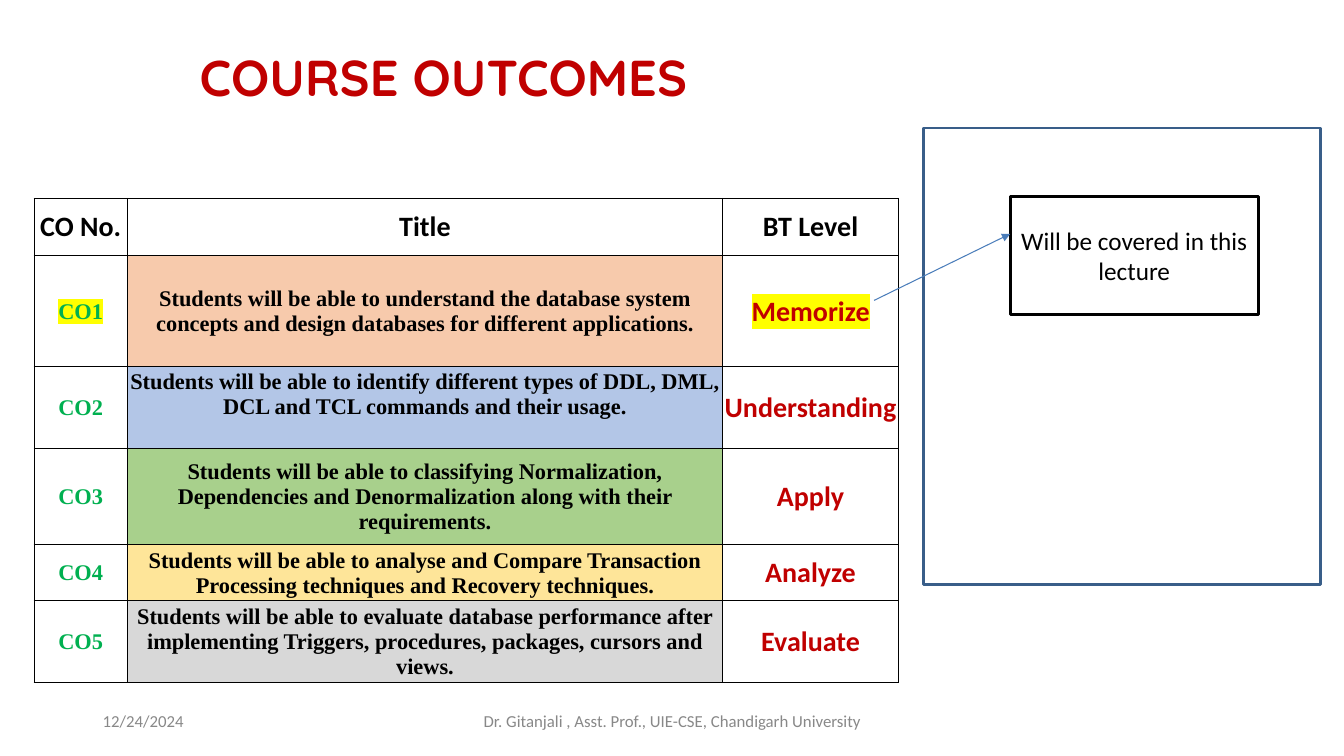
"""Build the course outcomes slide with its table and the lecture note."""
from dataclasses import dataclass

from lxml.etree import SubElement
from pptx import Presentation
from pptx.dml.color import RGBColor
from pptx.enum.shapes import MSO_CONNECTOR, MSO_SHAPE
from pptx.enum.text import MSO_ANCHOR, MSO_AUTO_SIZE, PP_ALIGN
from pptx.oxml import parse_xml
from pptx.oxml.ns import nsdecls, qn
from pptx.util import Inches, Pt

BLACK = RGBColor(0x00, 0x00, 0x00)
WHITE = RGBColor(0xFF, 0xFF, 0xFF)
RED = RGBColor(0xC0, 0x00, 0x00)
GREEN = RGBColor(0x00, 0xB0, 0x50)
YELLOW = RGBColor(0xFF, 0xFF, 0x00)
GREY = RGBColor(0x88, 0x88, 0x88)
FRAME_BLUE = RGBColor(0x39, 0x5E, 0x89)
ARROW_BLUE = RGBColor(0x4A, 0x7D, 0xBA)
PEACH = RGBColor(0xF7, 0xCA, 0xAC)
PALE_BLUE = RGBColor(0xB3, 0xC6, 0xE7)
PALE_GREEN = RGBColor(0xA8, 0xD0, 0x8C)
PALE_YELLOW = RGBColor(0xFE, 0xE5, 0x99)
PALE_GREY = RGBColor(0xD8, 0xD8, 0xD8)

SANS, SERIF, DISPLAY = "Calibri", "Times New Roman", "Quicksand"
HEADINGS = ("CO No.", "Title", "BT Level")
COLUMN_WIDTHS = (0.92, 5.91, 1.74)
HEADER_HEIGHT = 0.56


@dataclass(frozen=True)
class Outcome:
    number: str
    title: str
    level: str
    fill: RGBColor
    height: float
    covered: bool = False
    top_aligned: bool = False


@dataclass(frozen=True)
class FooterNote:
    text: str
    left: float
    width: float
    align: PP_ALIGN


OUTCOMES = (
    Outcome("CO1", "Students will be able to understand the database system concepts "
            "and design databases for different applications.",
            "Memorize", PEACH, 1.11, covered=True),
    Outcome("CO2", "Students will be able to identify different types of DDL, DML, "
            "DCL and TCL commands and their usage.",
            "Understanding", PALE_BLUE, 0.81, top_aligned=True),
    Outcome("CO3", "Students will be able to classifying Normalization, Dependencies "
            "and Denormalization along with their requirements.",
            "Apply", PALE_GREEN, 0.95),
    Outcome("CO4", "Students will be able to analyse and Compare Transaction "
            "Processing techniques and Recovery techniques.",
            "Analyze", PALE_YELLOW, 0.56),
    Outcome("CO5", "Students will be able to evaluate database performance after "
            "implementing Triggers, procedures, packages, cursors and views.",
            "Evaluate", PALE_GREY, 0.81),
)
FOOTER = (
    FooterNote("12/24/2024", 0.92, 3, PP_ALIGN.LEFT),
    FooterNote("Dr. Gitanjali , Asst. Prof., UIE-CSE, Chandigarh University",
               4.42, 4.5, PP_ALIGN.CENTER),
)


def write(frame, text: str, font: str, size: float, color: RGBColor,
          align: PP_ALIGN = PP_ALIGN.CENTER, bold: bool = False):
    """Fill a text frame with one formatted paragraph and return its run."""
    frame.text = text
    frame.word_wrap = True
    paragraph = frame.paragraphs[0]
    paragraph.alignment = align
    run = paragraph.runs[0]
    run.font.name, run.font.size, run.font.bold = font, Pt(size), bold
    run.font.color.rgb = color
    return run


def highlight(run) -> None:
    """Mark a run in yellow."""
    mark = parse_xml(f'<a:highlight {nsdecls("a")}><a:srgbClr val="{YELLOW}"/></a:highlight>')
    run.font._element.find(qn("a:solidFill")).addnext(mark)


def set_borders(cell, row: int, column: int) -> None:
    """Draw black cell borders, heavier on the outer edge of the table."""
    outer_edges = {"L": column == 0, "R": column == len(HEADINGS) - 1,
                   "T": row == 0, "B": row == len(OUTCOMES)}
    properties = cell._tc.get_or_add_tcPr()
    for index, (side, outer) in enumerate(outer_edges.items()):
        width = Pt(1 if outer else 0.75)
        properties.insert(index, parse_xml(
            f'<a:ln{side} {nsdecls("a")} w="{width}"><a:solidFill>'
            f'<a:srgbClr val="{BLACK}"/></a:solidFill></a:ln{side}>'))


def fill_cell(table, row: int, column: int, text: str, font: str, size: float,
              color: RGBColor, fill: RGBColor | None = None):
    """Write and style one table cell, returning the cell and its run."""
    cell = table.cell(row, column)
    run = write(cell.text_frame, text, font, size, color, bold=True)
    cell.vertical_anchor = MSO_ANCHOR.MIDDLE
    cell.margin_left = cell.margin_right = cell.margin_top = Inches(0.01)
    cell.margin_bottom = 0
    if fill is None:
        cell.fill.background()
    else:
        cell.fill.solid()
        cell.fill.fore_color.rgb = fill
    set_borders(cell, row, column)
    return cell, run


def add_outcomes_table(slide) -> None:
    """Add the table of course outcomes."""
    heights = (HEADER_HEIGHT, *(outcome.height for outcome in OUTCOMES))
    table = slide.shapes.add_table(
        len(heights), len(HEADINGS), Inches(0.34), Inches(1.97),
        Inches(sum(COLUMN_WIDTHS)), Inches(sum(heights))).table
    for column, width in zip(table.columns, COLUMN_WIDTHS):
        column.width = Inches(width)
    for row, height in zip(table.rows, heights):
        row.height = Inches(height)
    for index, heading in enumerate(HEADINGS):
        fill_cell(table, 0, index, heading, SANS, 20, BLACK)
    for index, outcome in enumerate(OUTCOMES, start=1):
        _, number = fill_cell(table, index, 0, outcome.number, SERIF, 16, GREEN)
        title_cell, _ = fill_cell(table, index, 1, outcome.title, SERIF, 16, BLACK, outcome.fill)
        _, level = fill_cell(table, index, 2, outcome.level, SANS, 20, RED)
        if outcome.covered:
            highlight(number)
            highlight(level)
        if outcome.top_aligned:
            title_cell.vertical_anchor = MSO_ANCHOR.TOP
            title_cell.margin_top = Inches(0.03)


def add_box(slide, left: float, top: float, width: float, height: float,
            line: RGBColor, fill: RGBColor | None = None):
    """Add an outlined rectangle."""
    box = slide.shapes.add_shape(MSO_SHAPE.RECTANGLE, Inches(left), Inches(top),
                                 Inches(width), Inches(height))
    box.shadow.inherit = False
    box.line.color.rgb, box.line.width = line, Pt(2)
    if fill is None:
        box.fill.background()
    else:
        box.fill.solid()
        box.fill.fore_color.rgb = fill
    return box


def add_arrow(slide) -> None:
    """Point from the covered level to the lecture note."""
    arrow = slide.shapes.add_connector(MSO_CONNECTOR.STRAIGHT, Inches(8.67), Inches(2.98),
                                       Inches(10.02), Inches(2.32))
    arrow.line.color.rgb, arrow.line.width = ARROW_BLUE, Pt(0.75)
    SubElement(arrow.line._get_or_add_ln(), qn("a:tailEnd"), type="triangle")
    SubElement(arrow._element.spPr, qn("a:effectLst"))


def main() -> None:
    """Build and save the slide."""
    deck = Presentation()
    deck.slide_width, deck.slide_height = Inches(13.33), Inches(7.5)
    slide = deck.slides.add_slide(deck.slide_layouts[5])

    add_outcomes_table(slide)
    title = slide.shapes.title
    title.left, title.top, title.width, title.height = map(Inches, (1.88, 0.41, 8.62, 0.71))
    write(title.text_frame, "COURSE OUTCOMES", DISPLAY, 36, RED, PP_ALIGN.LEFT, bold=True)
    title.text_frame.auto_size = MSO_AUTO_SIZE.NONE
    title.text_frame.vertical_anchor = MSO_ANCHOR.BOTTOM
    title.text_frame.paragraphs[0].line_spacing = 0.9

    for note in FOOTER:
        frame = slide.shapes.add_textbox(Inches(note.left), Inches(6.95),
                                         Inches(note.width), Inches(0.4)).text_frame
        write(frame, note.text, SANS, 12, GREY, note.align)
        frame.vertical_anchor = MSO_ANCHOR.MIDDLE

    add_box(slide, 9.16, 1.27, 3.94, 4.53, FRAME_BLUE)
    lecture_note = add_box(slide, 10.02, 1.95, 2.46, 1.17, BLACK, WHITE)
    write(lecture_note.text_frame, "Will be covered in this lecture", SANS, 18, BLACK)
    lecture_note.text_frame.vertical_anchor = MSO_ANCHOR.MIDDLE
    add_arrow(slide)
    deck.save("out.pptx")


if __name__ == "__main__":
    main()
